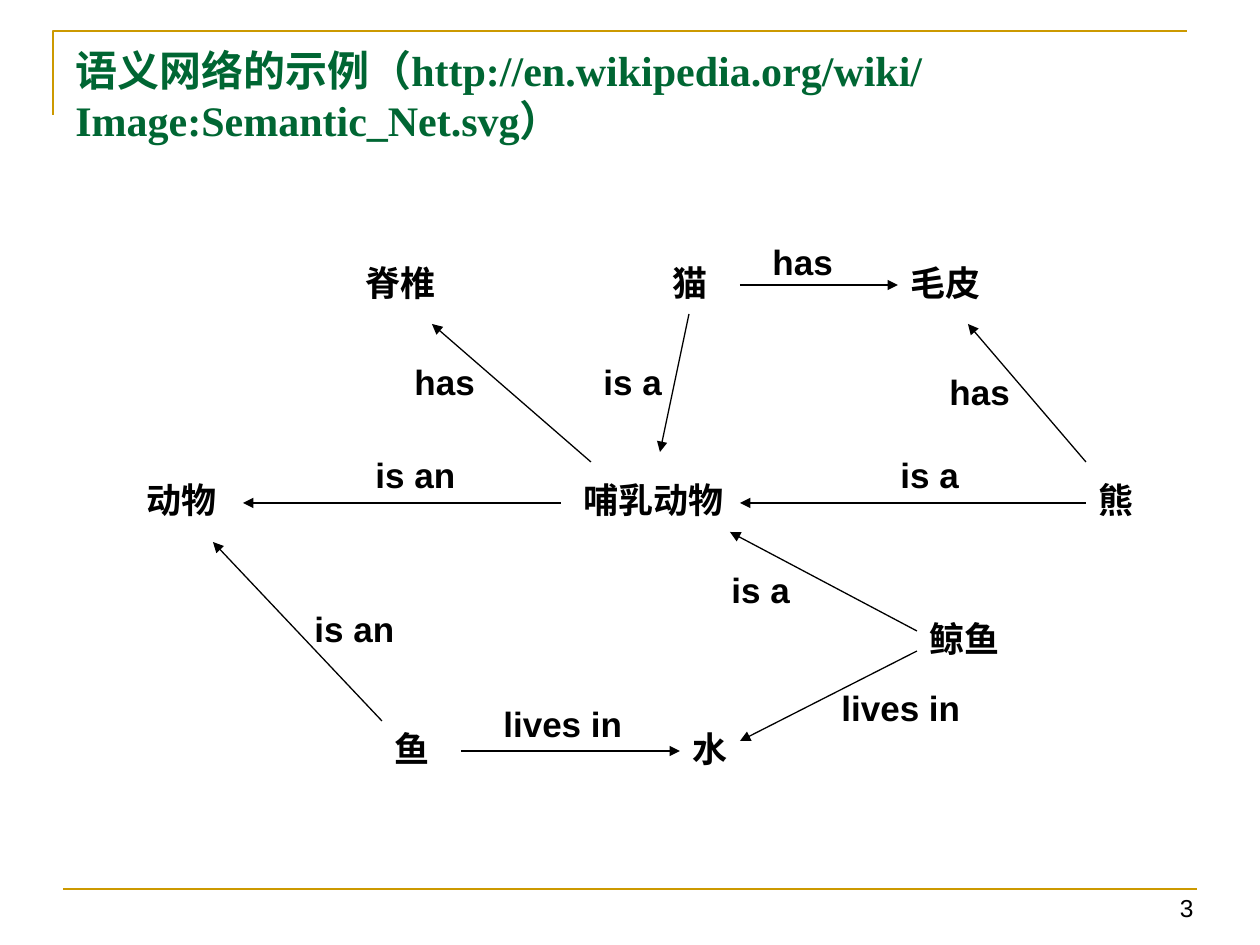
from pptx import Presentation
from pptx.dml.color import RGBColor
from pptx.enum.shapes import MSO_CONNECTOR
from pptx.enum.text import MSO_ANCHOR, PP_ALIGN
from pptx.oxml.ns import qn
from pptx.util import Emu, Pt
from lxml.etree import SubElement

BLACK = RGBColor(0x00, 0x00, 0x00)
GREEN = RGBColor(0x00, 0x66, 0x33)
GOLD = RGBColor(0xCC, 0x99, 0x00)

PX = 914400 / 126
BOX_WIDTH, BOX_HEIGHT = 110, 55

TITLE_FORMAT = {"name": "Times New Roman", "size": Pt(24), "bold": True}
NETWORK_FORMAT = {"name": "Arial", "size": Pt(20), "bold": True}
NUMBER_FORMAT = {"name": "Arial", "size": Pt(14), "bold": False}

# Concepts: text, left, top, width
CONCEPTS = [
    ("脊椎", 353, 255, BOX_WIDTH),
    ("猫", 660, 255, BOX_WIDTH),
    ("毛皮", 898, 255, BOX_WIDTH),
    ("动物", 134, 472, BOX_WIDTH),
    ("哺乳动物", 571, 472, 189),
    ("熊", 1086, 472, BOX_WIDTH),
    ("鲸鱼", 917, 611, BOX_WIDTH),
    ("鱼", 382, 721, BOX_WIDTH),
    ("水", 680, 721, BOX_WIDTH),
]

# Relations: label, label left, label top, label width, arrow start, arrow end
RELATIONS = [
    ("has", 402, 354, BOX_WIDTH, (591, 462), (432, 324)),
    ("is an", 363, 447, BOX_WIDTH, (561, 503), (243, 503)),
    ("is a", 719, 562, BOX_WIDTH, (917, 631), (730, 532)),
    ("lives in", 829, 680, 149, (917, 651), (740, 741)),
    ("is a", 888, 447, BOX_WIDTH, (1086, 503), (740, 503)),
    ("has", 937, 364, BOX_WIDTH, (1086, 462), (968, 324)),
    ("has", 760, 234, BOX_WIDTH, (740, 285), (898, 285)),
    ("is a", 591, 354, 89, (689, 314), (660, 452)),
    ("lives in", 491, 696, 149, (461, 751), (680, 751)),
    ("is an", 302, 601, BOX_WIDTH, (382, 721), (213, 542)),
]


def px(length):
    return Emu(round(length * PX))


def add_text(slide, text, left, top, width, height, font_format,
             color=BLACK, alignment=PP_ALIGN.LEFT):
    shape = slide.shapes.add_textbox(px(left), px(top), px(width), px(height))
    frame = shape.text_frame
    frame.word_wrap = True
    frame.vertical_anchor = MSO_ANCHOR.TOP
    paragraph = frame.paragraphs[0]
    paragraph.alignment = alignment
    run = paragraph.add_run()
    run.text = text
    for attribute, value in font_format.items():
        setattr(run.font, attribute, value)
    run.font.color.rgb = color


def add_line(slide, start, end, color, width, arrow=False):
    connector = slide.shapes.add_connector(
        MSO_CONNECTOR.STRAIGHT, *map(px, start + end))
    connector.line.color.rgb = color
    connector.line.width = Pt(width)
    if arrow:
        SubElement(connector.line._get_or_add_ln(), qn("a:tailEnd"), type="triangle")
    SubElement(connector._element.spPr, qn("a:effectLst"))


def add_corner(slide, points):
    builder = slide.shapes.build_freeform(*points[0], scale=PX)
    builder.add_line_segments(points[1:], close=False)
    shape = builder.convert_to_shape()
    shape.shadow.inherit = False
    shape.fill.background()
    shape.line.color.rgb = GOLD
    shape.line.width = Pt(1.5)


def main():
    presentation = Presentation()
    presentation.slide_width = px(1260)
    presentation.slide_height = px(945)
    slide = presentation.slides.add_slide(presentation.slide_layouts[6])

    # Frame and page number
    add_corner(slide, [(53, 115), (53, 31), (1187, 31)])
    add_line(slide, (63, 889), (1197, 889), GOLD, 1.5)
    add_text(slide, "3", 1077, 887, 129, 43, NUMBER_FORMAT, alignment=PP_ALIGN.RIGHT)

    # Title
    add_text(slide, "语义网络的示例（http://en.wikipedia.org/wiki/Image:Semantic_Net.svg）",
             63, 38, 1134, 97, TITLE_FORMAT, GREEN)

    # Semantic network
    for text, left, top, width in CONCEPTS:
        add_text(slide, text, left, top, width, BOX_HEIGHT, NETWORK_FORMAT)
    for label, left, top, width, start, end in RELATIONS:
        add_line(slide, start, end, BLACK, 0.75, arrow=True)
        add_text(slide, label, left, top, width, BOX_HEIGHT, NETWORK_FORMAT)

    presentation.save("out.pptx")


if __name__ == "__main__":
    main()
